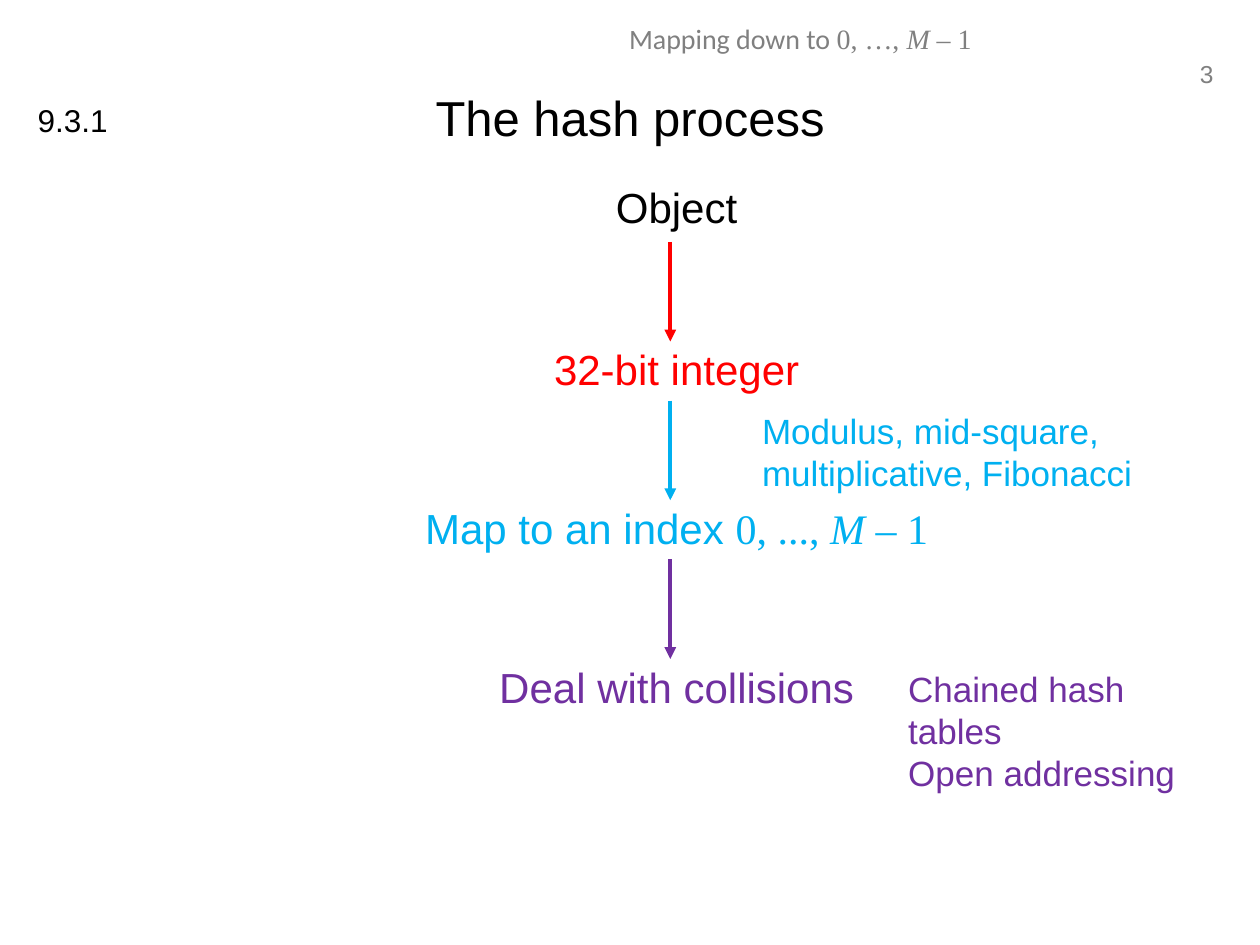
from lxml import etree
from pptx import Presentation
from pptx.dml.color import RGBColor
from pptx.enum import shapes, text
from pptx.oxml.ns import qn
from pptx.util import Pt

BLACK = RGBColor(0x00, 0x00, 0x00)
GREY = RGBColor(0x80, 0x80, 0x80)
RED = RGBColor(0xFF, 0x00, 0x00)
BLUE = RGBColor(0x00, 0xB0, 0xF0)
PURPLE = RGBColor(0x70, 0x30, 0xA0)
LEFT, MID, RIGHT = text.PP_ALIGN.LEFT, text.PP_ALIGN.CENTER, text.PP_ALIGN.RIGHT
COLS, ROWS = 100, 75


class Deck:
    """Slide style on a grid of 100 columns by 75 rows."""
    sans, serif = "Arial", "Times New Roman"

    def __init__(self):
        self.prs = Presentation()
        self.prs.slide_width, self.prs.slide_height = Pt(720), Pt(540)
        self.page = self.prs.slides.add_slide(self.prs.slide_layouts[5])

    def x(self, col):
        return round(self.prs.slide_width * col / COLS)

    def y(self, row):
        return round(self.prs.slide_height * row / ROWS)

    def area(self, col, row, wide, high):
        return self.x(col), self.y(row), self.x(wide), self.y(high)

    def style(self, para, size, color, align, face=None):
        para.alignment = align
        para.font.size = Pt(size)
        para.font.color.rgb = color
        para.font.name = face or self.sans

    def title(self, words, area, size):
        box = self.page.shapes.title
        box.left, box.top, box.width, box.height = self.area(*area)
        box.text_frame.text = words
        box.text_frame.vertical_anchor = text.MSO_ANCHOR.MIDDLE
        self.style(box.text_frame.paragraphs[0], size, BLACK, MID)

    def label(self, words, area, size, color, align=LEFT, wrap=False):
        box = self.page.shapes.add_textbox(*self.area(*area))
        frame = box.text_frame
        frame.text = words
        frame.word_wrap = wrap
        if not wrap:
            frame.auto_size = text.MSO_AUTO_SIZE.SHAPE_TO_FIT_TEXT
        for para in frame.paragraphs:
            self.style(para, size, color, align)
        return frame.paragraphs[0]

    def math(self, para, parts, face=None):
        """Keep the lead words in one face, then add serif math."""
        para.font.name = None
        para.runs[0].font.name = face or self.sans
        for part in parts:
            run = para.add_run()
            run.text = part
            run.font.name = self.serif
            run.font.italic = part == "M"

    def arrow(self, col, top, end, color):
        line = self.page.shapes.add_connector(
            shapes.MSO_CONNECTOR.STRAIGHT,
            self.x(col), self.y(top), self.x(col), self.y(end))
        line.line.color.rgb = color
        line.line.width = Pt(2.25)
        etree.SubElement(line.line._get_or_add_ln(), qn("a:tailEnd"), type="triangle")
        etree.SubElement(line._element.spPr, qn("a:effectLst"))


def main():
    deck = Deck()

    # Header
    deck.label("3", (92.9, 4.2, 4.4, 3.3), 14, GREY, RIGHT)
    head = deck.label("Mapping down to ", (31.9, 1.2, 63.8, 4), 16, GREY, MID, True)
    deck.math(head, ["0, …, ", "M", " – 1 "], "Calibri")

    # Title and section number
    deck.title("The hash process", (5, 3, 90, 12.5), 28)
    deck.label("9.3.1", (2, 7.5, 7.6, 4), 18, BLACK)

    # Steps, centred on one axis
    axis, step = 53.7, 12.6
    deck.label("Object", (axis - 5.8, 13.9, 11.6, 5), 24, BLACK)
    steps = [("32-bit integer", 21.5, RED, []),
             ("Map to an index ", 43.7, BLUE, ["0, ..., ", "M", " – 1"]),
             ("Deal with collisions", 30.2, PURPLE, [])]
    for i, (words, wide, color, parts) in enumerate(steps):
        top = 19.2 + i * step
        deck.arrow(53.2, top, top + 7.9, color)
        para = deck.label(words, (axis - wide / 2, top + 7.6, wide, 5), 24, color, MID)
        if parts:
            deck.math(para, parts)

    # Side notes
    deck.label("Modulus, mid-square,\vmultiplicative, Fibonacci",
               (59.5, 32, 31.4, 7.7), 20, BLUE)
    deck.label("Chained hash tables\nOpen addressing",
               (71.1, 52.5, 27.3, 7.7), 20, PURPLE)

    deck.prs.save("out.pptx")


if __name__ == "__main__":
    main()
